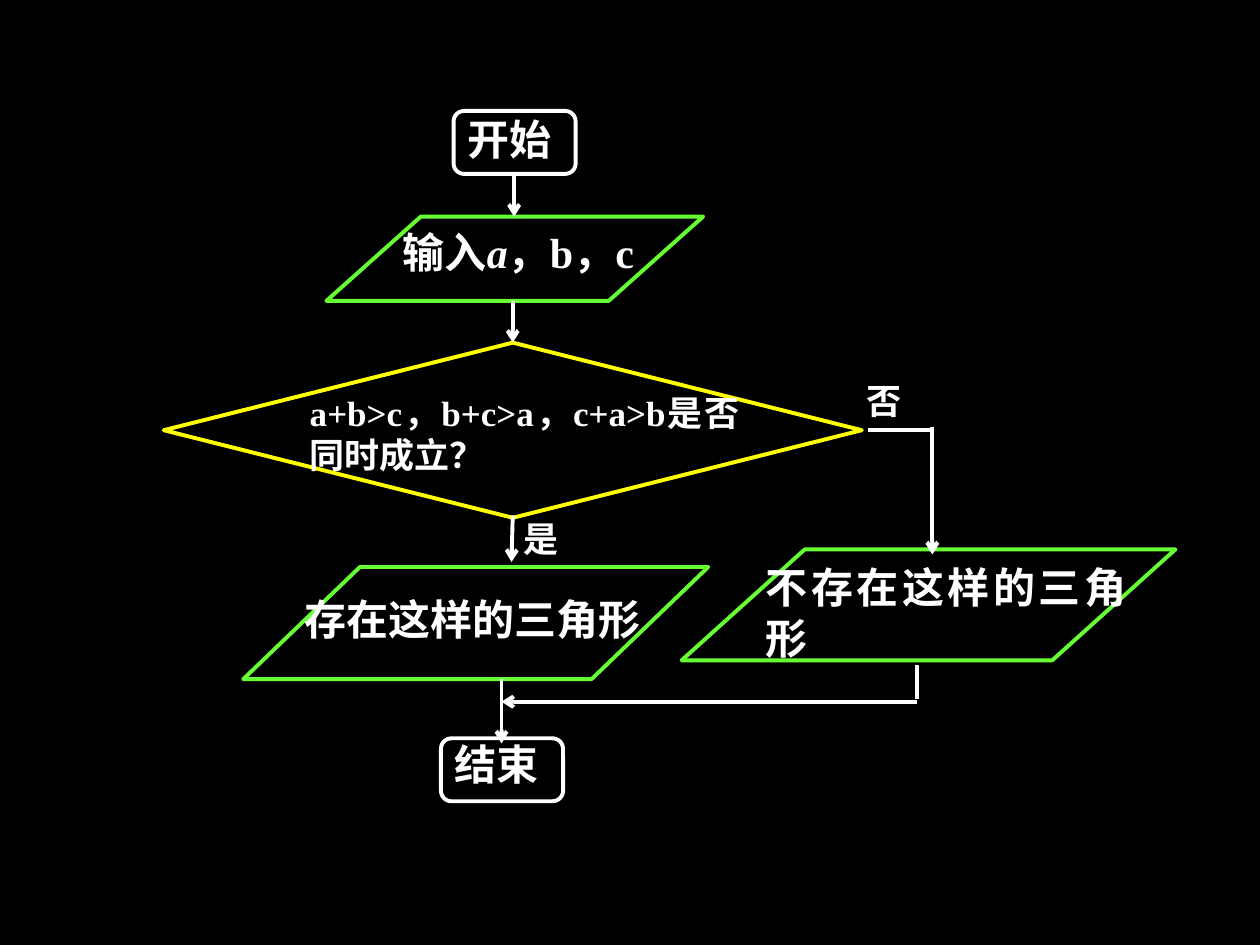
from dataclasses import dataclass

from lxml import etree
from pptx import Presentation
from pptx.dml.color import RGBColor
from pptx.enum import shapes, text
from pptx.oxml import ns
from pptx.util import Pt


@dataclass(frozen=True)
class Theme:
    back: str = "000000"
    ink: str = "FFFFFF"
    data: str = "66FF33"
    test: str = "FFFF00"
    big: float = 24
    small: float = 20
    line: float = 2.25
    latin: str = "Times New Roman"
    asian: str = "Noto Sans CJK SC"


T = Theme()
Kind = shapes.MSO_SHAPE


@dataclass(frozen=True)
class Node:
    kind: Kind
    box: tuple[float, float, float, float]
    color: str
    adj: float | None = None


@dataclass(frozen=True)
class Run:
    text: str
    font: str = T.latin
    italic: bool = False


@dataclass(frozen=True)
class Label:
    box: tuple[float, float, float, float]
    runs: tuple[Run, ...]
    size: float = T.big


@dataclass(frozen=True)
class Link:
    start: tuple[float, float]
    end: tuple[float, float]
    arrow: bool = True


# Flowchart boxes, in points
NODES = [
    Node(Kind.ROUNDED_RECTANGLE, (259.2, 63.4, 69.8, 36), T.ink, 0.167),
    Node(Kind.PARALLELOGRAM, (186.5, 123.8, 215.3, 48.2), T.data, 1.12),
    Node(Kind.DIAMOND, (93.6, 195.8, 398.9, 100.1), T.test),
    Node(Kind.PARALLELOGRAM, (139, 324, 265.7, 64.1), T.data, 1.04),
    Node(Kind.PARALLELOGRAM, (389.5, 313.9, 282.2, 63.4), T.data, 1.11),
    Node(Kind.ROUNDED_RECTANGLE, (252, 421.9, 69.8, 36), T.ink, 0.167),
]

# Wording
COMMA = Run("，", T.asian)
LABELS = [
    Label((260, 61.2, 80.6, 44.6), (Run("开始"),)),
    Label((223.2, 126, 175.7, 47.5),
          (Run("输入"), Run("a", italic=True), Run("，b，c"))),
    Label((169.9, 220.3, 259.9, 61.2),
          (Run("a+b>c"), COMMA, Run("b+c>a"), COMMA,
           Run("c+a>b是否同时成立？")), T.small),
    Label((292.3, 292.3, 57.6, 51.1), (Run("是"),), T.small),
    Label((488.2, 213.1, 42.5, 43.2), (Run("否"),), T.small),
    Label((167, 335.5, 217.4, 51.8), (Run("存在这样的三角形"),)),
    Label((430.6, 317.5, 220.3, 51.8), (Run("不存在这样的三角形"),)),
    Label((252.7, 418.3, 86.4, 53.3), (Run("结束"),)),
]

# Flow lines
LINKS = [
    Link((293.8, 100.1), (293.8, 123.8)),
    Link((293, 172.1), (293, 195.8)),
    Link((293, 294.5), (292.3, 321.1)),
    Link((286.6, 388.1), (286.6, 424.8)),
    Link((496.1, 245.5), (532.8, 245.5), arrow=False),
    Link((532.8, 244.1), (532.8, 316.8)),
    Link((524.2, 380.2), (524.2, 399.6), arrow=False),
    Link((524.2, 401), (286.6, 401)),
]


def stroke(line, color: str) -> None:
    line.color.rgb = RGBColor.from_string(color)
    line.width = Pt(T.line)


def draw_node(slide, node: Node) -> None:
    shape = slide.shapes.add_shape(node.kind, *map(Pt, node.box))
    shape.shadow.inherit = False
    shape.fill.background()
    stroke(shape.line, node.color)
    if node.adj is not None:
        shape.adjustments[0] = node.adj


def draw_link(slide, link: Link) -> None:
    line = slide.shapes.add_connector(
        shapes.MSO_CONNECTOR.STRAIGHT, *map(Pt, link.start + link.end))
    stroke(line.line, T.ink)
    if link.arrow:
        etree.SubElement(line.line._get_or_add_ln(), ns.qn("a:tailEnd"),
                         type="arrow")
    etree.SubElement(line._element.spPr, ns.qn("a:effectLst"))


def add_run(para, words: str, *, size: float, font: str = T.latin,
            color: str = T.ink, bold: bool = True,
            italic: bool = False) -> None:
    run = para.add_run()
    run.text = words
    face = run.font
    face.size, face.name = Pt(size), font
    face.bold, face.italic = bold, italic
    face.color.rgb = RGBColor.from_string(color)
    etree.SubElement(run._r.get_or_add_rPr(), ns.qn("a:ea"),
                     typeface=T.asian)


def draw_label(slide, label: Label) -> None:
    frame = slide.shapes.add_textbox(*map(Pt, label.box)).text_frame
    frame.word_wrap = True
    para = frame.paragraphs[0]
    para.alignment = text.PP_ALIGN.JUSTIFY
    for run in label.runs:
        add_run(para, run.text, size=label.size, font=run.font,
                italic=run.italic)


def main() -> None:
    deck = Presentation()
    deck.slide_width, deck.slide_height = Pt(720), Pt(540)
    slide = deck.slides.add_slide(deck.slide_layouts[6])
    fill = slide.background.fill
    fill.solid()
    fill.fore_color.rgb = RGBColor.from_string(T.back)

    for node in NODES:
        draw_node(slide, node)
    for link in LINKS:
        draw_link(slide, link)
    for label in LABELS:
        draw_label(slide, label)
    deck.save("out.pptx")


if __name__ == "__main__":
    main()
